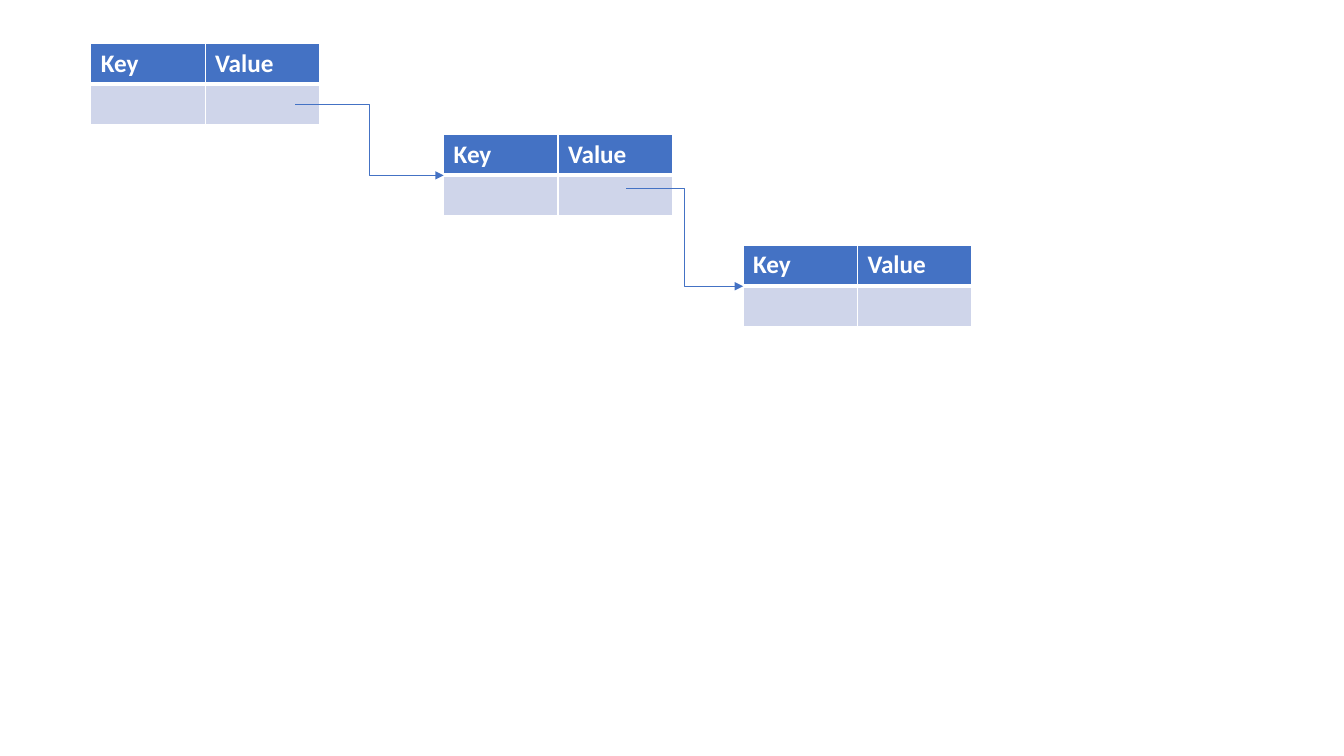
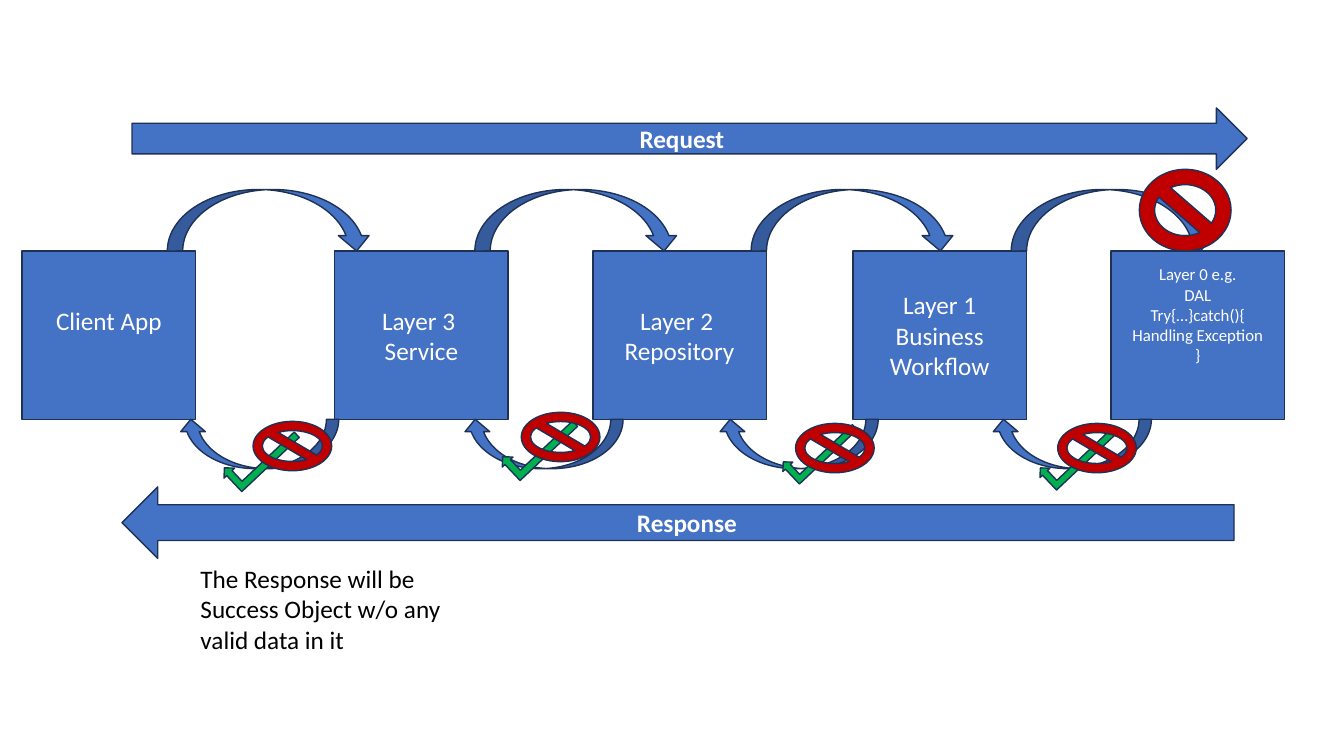
from lxml import etree
from pptx import Presentation
from pptx.dml.color import RGBColor
from pptx.enum.shapes import MSO_CONNECTOR, MSO_SHAPE
from pptx.enum.text import MSO_ANCHOR, MSO_AUTO_SIZE, PP_ALIGN
from pptx.oxml.ns import qn
from pptx.util import Inches, Pt

BLUE = RGBColor(0x44, 0x72, 0xC4)
NAVY = RGBColor(0x1E, 0x32, 0x56)
PALE = RGBColor(0xCF, 0xD5, 0xEA)
RED = RGBColor(0xC0, 0x00, 0x00)
GREEN = RGBColor(0x00, 0xB0, 0x50)
WHITE = RGBColor(0xFF, 0xFF, 0xFF)
BLACK = RGBColor(0x00, 0x00, 0x00)

RECT = MSO_SHAPE.RECTANGLE
ARC_ARROW = MSO_SHAPE.CURVED_DOWN_ARROW
CHECK = MSO_SHAPE.BENT_UP_ARROW
STOP = MSO_SHAPE.NO_SYMBOL
RIGHT_ARROW = MSO_SHAPE.RIGHT_ARROW
LEFT_ARROW = MSO_SHAPE.LEFT_ARROW
ELBOW = MSO_CONNECTOR.ELBOW
CENTER, LEFT = PP_ALIGN.CENTER, PP_ALIGN.LEFT
MIDDLE = MSO_ANCHOR.MIDDLE
GROW = MSO_AUTO_SIZE.SHAPE_TO_FIT_TEXT

FONT = "Calibri"


class Deck:
    """Holds the style and the current slide."""

    def __init__(self):
        self.prs = Presentation()
        self.prs.slide_width, self.prs.slide_height = Inches(13.33), Inches(7.5)
        self.slide = None

    def new_slide(self):
        self.slide = self.prs.slides.add_slide(self.prs.slide_layouts[6])

    def fill_text(self, frame, lines, color=WHITE, align=CENTER, size=18, bold=False):
        style = {"name": FONT, "size": Pt(size), "bold": bold}
        for i, line in enumerate(lines):
            para = frame.add_paragraph() if i else frame.paragraphs[0]
            para.alignment = align
            run = para.add_run()
            run.text = line
            for key, value in style.items():
                setattr(run.font, key, value)
            run.font.color.rgb = color

    def shape(self, kind, box, fill=BLUE, lines=(), rotation=0, flips=(),
              bottom=0.05, **style):
        shape = self.slide.shapes.add_shape(kind, *map(Inches, box))
        shape.shadow.inherit = False
        shape.fill.solid()
        shape.fill.fore_color.rgb = fill
        shape.line.color.rgb = NAVY
        shape.line.width = Pt(1)
        shape.rotation = rotation
        for flip in flips:
            shape.element.spPr.find(qn("a:xfrm")).set(flip, "1")
        shape.text_frame.vertical_anchor = MIDDLE
        shape.text_frame.margin_bottom = Inches(bottom)
        self.fill_text(shape.text_frame, lines, **style)

    def text(self, box, lines, **style):
        frame = self.slide.shapes.add_textbox(*map(Inches, box)).text_frame
        frame.word_wrap = True
        frame.auto_size = GROW
        self.fill_text(frame, lines, align=LEFT, **style)

    def border(self, cell, widths):
        props = cell._tc.get_or_add_tcPr()
        for i, (side, width) in enumerate(widths.items()):
            edge = etree.Element(qn(f"a:ln{side}"), w=str(Pt(width)))
            fill = etree.SubElement(edge, qn("a:solidFill"))
            etree.SubElement(fill, qn("a:srgbClr"), val=str(WHITE))
            props.insert(i, edge)

    def key_value_table(self, left, top):
        width, height = 2.27, 0.81
        table = self.slide.shapes.add_table(
            2, 2, *map(Inches, (left, top, width, height))).table
        table.horz_banding = False
        for column in table.columns:
            column.width = Inches(width / 2)
        for row, fill, top_width, bottom_width in zip(
                table.rows, (BLUE, PALE), (1, 3), (3, 1)):
            row.height = Inches(height / 2)
            for cell in row.cells:
                cell.fill.solid()
                cell.fill.fore_color.rgb = fill
                self.border(cell, {"L": 1, "R": 1, "T": top_width, "B": bottom_width})
        for cell, heading in zip(table.rows[0].cells, ("Key", "Value")):
            self.fill_text(cell.text_frame, [heading], align=LEFT, bold=True)

    def elbow_arrow(self, *ends):
        arrow = self.slide.shapes.add_connector(ELBOW, *map(Inches, ends))
        arrow.line.color.rgb = BLUE
        arrow.line.width = Pt(0.5)
        props = arrow.element.spPr
        etree.SubElement(props.find(qn("a:ln")), qn("a:tailEnd"), type="triangle")
        etree.SubElement(props, qn("a:effectLst"))


deck = Deck()

# Slide 1: linked key/value entries
deck.new_slide()
for left, top in ((0.9, 0.43), (4.4, 1.33), (7.37, 2.43)):
    deck.key_value_table(left, top)
for ends in ((2.93, 1.04, 4.4, 1.74), (6.21, 1.87, 7.37, 2.84)):
    deck.elbow_arrow(*ends)

# Slide 2: request and response through the layers
deck.new_slide()
BOX_TOP, BOX_WIDTH, BOX_HEIGHT = 2.49, 1.72, 1.67
BOX_BOTTOM = BOX_TOP + BOX_HEIGHT

# Layer boxes; a larger bottom margin lifts the text
layers = (
    (0.22, ["Client App"], {"bottom": 0.35}),
    (3.32, ["Layer 3 ", "Service"], {}),
    (5.88, ["Layer 2 ", "Repository"], {}),
    (8.46, ["Layer 1", "Business Workflow"], {}),
    (11.02, ["Layer 0 e.g.", "DAL", "Try{…}catch(){", "Handling Exception", "}"],
     {"bottom": 0.46, "size": 12}),
)
for left, lines, style in layers:
    deck.shape(RECT, (left, BOX_TOP, BOX_WIDTH, BOX_HEIGHT), lines=lines, **style)

# Calls above the boxes, returns below
for left in (1.66, 4.71, 7.45, 10.03):
    deck.shape(ARC_ARROW, (left, BOX_TOP - 0.61, 2.03, 0.61))
for left in (1.77, 4.59, 7.12, 9.83):
    deck.shape(ARC_ARROW, (left, BOX_BOTTOM, 1.59, 0.49), flips=("flipH", "flipV"))

# Direction bands
deck.shape(RIGHT_ARROW, (1.31, 1.07, 11.06, 0.61), lines=["Request"], bold=True)
deck.shape(LEFT_ARROW, (1.21, 4.83, 11.03, 0.71), lines=["Response"], bold=True)

# Check marks crossed out by stop signs
deck.shape(STOP, (11.3, 1.68, 0.91, 0.81), RED)
for left, top, height in ((2.16, 4.37, 0.29), (4.92, 4.26, 0.29),
                          (7.7, 4.31, 0.27), (10.25, 4.37, 0.27)):
    deck.shape(CHECK, (left, top, 0.82, height), GREEN, rotation=136.7,
               flips=("flipV",))
for left, top in ((2.51, 4.18), (5.17, 4.09), (7.89, 4.2), (10.49, 4.2)):
    deck.shape(STOP, (left, top, 0.78, 0.49), RED)

deck.text((1.89, 5.54, 3.04, 1.01),
          ["The Response will be Success Object w/o any valid data in it"], color=BLACK)

deck.prs.save("out.pptx")
